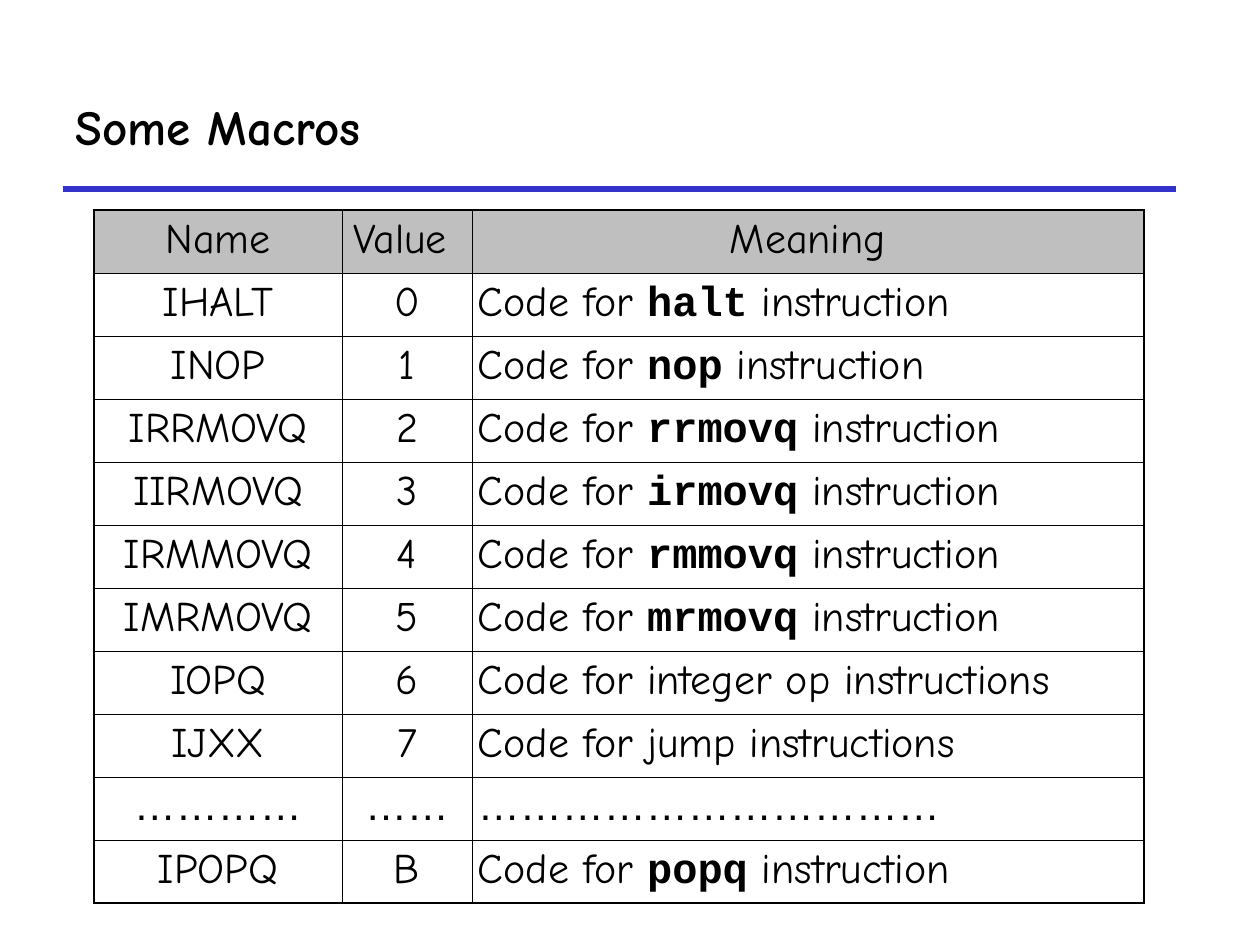
from dataclasses import dataclass

from lxml import etree
from pptx import Presentation, util as u
from pptx.dml.color import RGBColor
from pptx.enum import shapes, text
from pptx.oxml import ns


@dataclass(frozen=True)
class Theme:
    ink: str = "000000"
    rule: str = "3333CC"
    header: str = "BFBFBF"
    body: str = "FFFFFF"
    font: str = "Comic Neue"
    code_font: str = "Courier New"
    dots_font: str = "Arial"
    title_size: int = 28
    cell_size: int = 24
    rule_width: int = 3
    inner_border: float = 0.45
    outer_border: float = 1.08


theme = Theme()


def px(count):
    return u.Emu(round(count * 914400 / 126))


def style(font, name, size, bold=False):
    font.name = name
    font.size = u.Pt(size)
    font.bold = bold
    font.color.rgb = RGBColor.from_string(theme.ink)


deck = Presentation()
deck.slide_width, deck.slide_height = px(1260), px(945)
slide = deck.slides.add_slide(deck.slide_layouts[6])

rule = slide.shapes.add_connector(
    shapes.MSO_CONNECTOR.STRAIGHT, px(63), px(189), px(1176), px(189))
rule.line.color.rgb = RGBColor.from_string(theme.rule)
rule.line.width = u.Pt(theme.rule_width)
etree.SubElement(rule._element.spPr, ns.qn("a:effectLst"))

title = slide.shapes.add_textbox(px(63), px(63), px(1113), px(126))
title.text_frame.word_wrap = True
title.text_frame.vertical_anchor = text.MSO_ANCHOR.MIDDLE
para = title.text_frame.paragraphs[0]
para.text = "Some Macros"
style(para.font, theme.font, theme.title_size, bold=True)

rows = [
    ("Name", "Value ", ["Meaning"]),
    ("IHALT", "0", ["Code for ", "halt", " instruction"]),
    ("INOP", "1", ["Code for ", "nop", " instruction"]),
    ("IRRMOVQ", "2", ["Code for ", "rrmovq", " instruction"]),
    ("IIRMOVQ", "3", ["Code for ", "irmovq", " instruction"]),
    ("IRMMOVQ", "4", ["Code for ", "rmmovq", " instruction"]),
    ("IMRMOVQ", "5", ["Code for ", "mrmovq", " instruction"]),
    ("IOPQ", "6", ["Code for integer op instructions"]),
    ("IJXX", "7", ["Code for jump instructions"]),
    ("…………", "……", ["……………………………"]),
    ("IPOPQ", "B", ["Code for ", "popq", " instruction"]),
]
widths = [248, 130, 672]
row_height = 63
last_row, last_column = len(rows) - 1, len(widths) - 1

table = slide.shapes.add_table(
    len(rows), len(widths), px(94), px(210),
    px(sum(widths)), px(row_height * len(rows))).table
table.first_row = table.horz_banding = False
for column, width in zip(table.columns, widths):
    column.width = px(width)

for r, (name, value, meaning) in enumerate(rows):
    table.rows[r].height = px(row_height)
    for c, parts in enumerate([[name], [value], meaning]):
        cell = table.cell(r, c)
        cell.margin_left = cell.margin_right = px(6)
        cell.margin_top = cell.margin_bottom = px(6)

        para = cell.text_frame.paragraphs[0]
        para.space_before = u.Pt(6)
        centred = r == 0 or c < last_column
        para.alignment = text.PP_ALIGN.CENTER if centred else text.PP_ALIGN.LEFT
        font_name = theme.dots_font if name.startswith("…") else theme.font
        if len(parts) == 1:
            style(para.font, font_name, theme.cell_size)
        for index, part in enumerate(parts):
            span = para.add_run()
            span.text = part
            if len(parts) > 1:
                is_code = index == 1
                style(span.font, theme.code_font if is_code else font_name,
                      theme.cell_size, bold=is_code)

        outer_sides = {"lnL": c == 0, "lnR": c == last_column,
                       "lnT": r == 0, "lnB": r == last_row}
        properties = cell._tc.get_or_add_tcPr()
        for side, is_outer in outer_sides.items():
            width = theme.outer_border if is_outer else theme.inner_border
            border = etree.SubElement(properties, ns.qn(f"a:{side}"), w=str(u.Pt(width)))
            fill = etree.SubElement(border, ns.qn("a:solidFill"))
            etree.SubElement(fill, ns.qn("a:srgbClr"), val=theme.ink)
        cell.fill.solid()
        cell.fill.fore_color.rgb = RGBColor.from_string(
            theme.header if r == 0 else theme.body)

deck.save("out.pptx")
